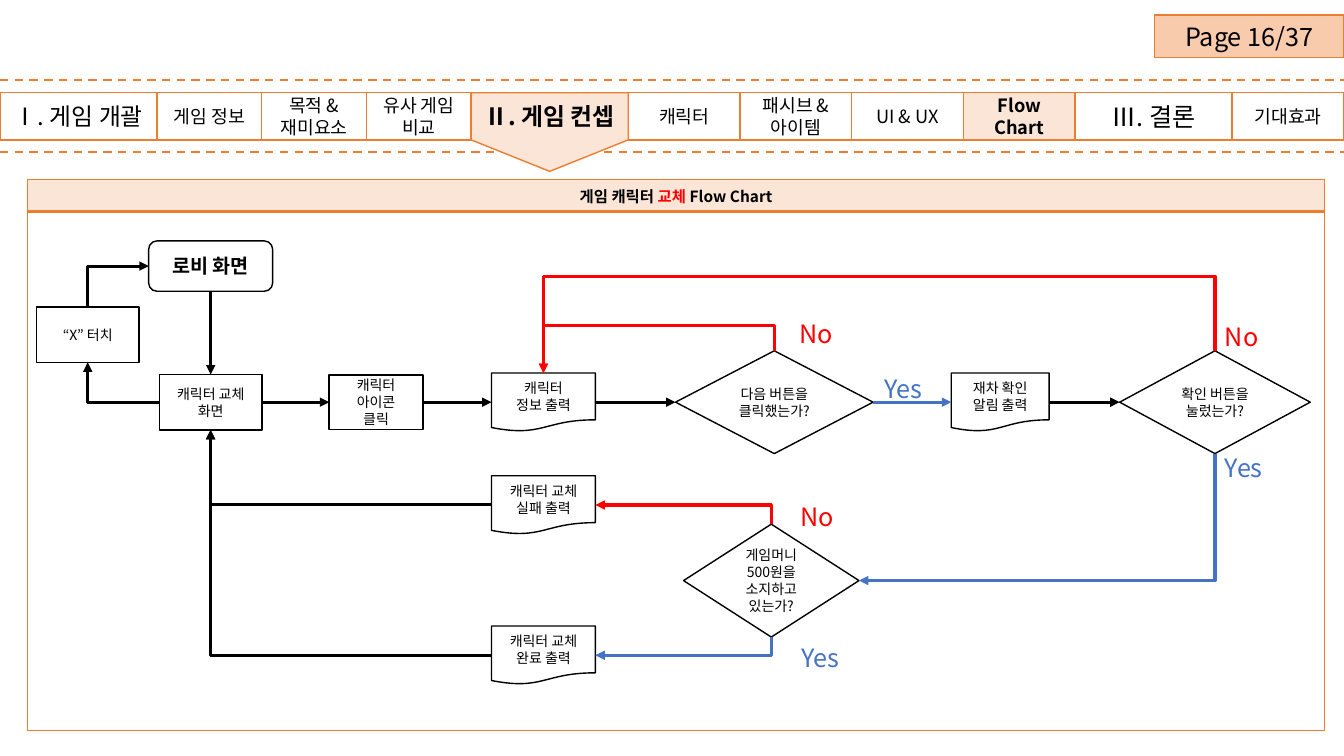
from dataclasses import dataclass

from lxml import etree
from pptx import Presentation
from pptx.dml.color import RGBColor
from pptx.enum.dml import MSO_LINE
from pptx.enum.shapes import MSO_CONNECTOR, MSO_SHAPE
from pptx.enum.text import MSO_ANCHOR, PP_ALIGN
from pptx.oxml.ns import qn
from pptx.util import Inches, Pt

RECT, ROUND = MSO_SHAPE.RECTANGLE, MSO_SHAPE.ROUNDED_RECTANGLE
DECISION, DOCUMENT = MSO_SHAPE.FLOWCHART_DECISION, MSO_SHAPE.FLOWCHART_DOCUMENT
PENTAGON = MSO_SHAPE.PENTAGON
STRAIGHT, ELBOW = MSO_CONNECTOR.STRAIGHT, MSO_CONNECTOR.ELBOW
DASH = MSO_LINE.DASH
LEFT_ALIGN, CENTER = PP_ALIGN.LEFT, PP_ALIGN.CENTER
TOP, LEFT, BOTTOM, RIGHT = range(4)


@dataclass(frozen=True)
class Theme:
    font: str = "Noto Sans CJK KR"
    black: str = "000000"
    white: str = "FFFFFF"
    orange: str = "ED7D31"
    peach: str = "FBE5D6"
    deep_peach: str = "F8CBAD"
    red: str = "FF0000"
    blue: str = "4472C4"
    node_size: int = 10
    header_size: int = 11
    topic_size: int = 13
    start_size: int = 14
    section_size: int = 17
    large_size: int = 18
    thin: float = 1
    dash: float = 1.5
    arrow: float = 2.25


THEME = Theme()
SLIDE_WIDTH, SLIDE_HEIGHT = 13.33, 7.5

PAGE = "Page 16/37"
HEADER = [("게임 캐릭터 ", THEME.black), ("교체 ", THEME.red), ("Flow Chart", THEME.black)]
SECTION, TOPIC, WIDE_TOPIC = 1.56, 1.04, 1.11
NAVIGATION = [
    ("Ⅰ. 게임 개괄", SECTION, THEME.section_size),
    ("게임 정보", TOPIC, THEME.topic_size),
    ("목적 &\n재미요소", TOPIC, THEME.topic_size),
    ("유사 게임\n비교", TOPIC, THEME.topic_size),
    ("Ⅱ. 게임 컨셉", SECTION, THEME.section_size),
    ("캐릭터", WIDE_TOPIC, THEME.topic_size),
    ("패시브 &\n아이템", WIDE_TOPIC, THEME.topic_size),
    ("UI & UX", WIDE_TOPIC, THEME.topic_size),
    ("Flow Chart", WIDE_TOPIC, THEME.topic_size),
    ("Ⅲ. 결론", SECTION, THEME.large_size),
    ("기대효과", WIDE_TOPIC, THEME.topic_size),
]
CURRENT_SECTION, CURRENT_TOPIC = "Ⅱ. 게임 컨셉", "Flow Chart"
NAV_TOP, NAV_HEIGHT, POINTER_HEIGHT = 0.92, 0.47, 0.78
DASHED_ROWS = (0.79, 1.51)
PANEL = (0.27, 1.78, 12.87)
PANEL_ROWS = (0.32, 5.15)

COLUMNS = {"exit": 0.87, "screen": 2.09, "icon": 3.73, "document": 5.39, "money": 7.65,
           "next": 7.68, "confirm": 9.92, "press": 12.05}
ROWS = {"lobby": 2.64, "exit": 3.32, "main": 3.99, "fail": 5.01, "money": 5.76, "done": 6.5}
NODES = {
    "lobby": ("로비 화면", ROUND, "screen", "lobby", 1.23, 0.5),
    "exit": ("“X” 터치", RECT, "exit", "exit", 1.02, 0.55),
    "screen": ("캐릭터 교체\n화면", RECT, "screen", "main", 1.02, 0.55),
    "icon": ("캐릭터\n아이콘\n클릭", RECT, "icon", "main", 0.93, 0.54),
    "info": ("캐릭터\n정보 출력", DOCUMENT, "document", "main", 1.03, 0.58),
    "next": ("다음 버튼을\n클릭했는가?", DECISION, "next", "main", 1.96, 1.02),
    "confirm": ("재차 확인\n알림 출력", DOCUMENT, "confirm", "main", 0.97, 0.58),
    "press": ("확인 버튼을\n눌렀는가?", DECISION, "press", "main", 1.89, 1.02),
    "fail": ("캐릭터 교체\n실패 출력", DOCUMENT, "document", "fail", 1.03, 0.58),
    "money": ("게임머니\n500원을\n소지하고\n있는가?", DECISION, "money", "money", 1.74, 1.12),
    "done": ("캐릭터 교체\n완료 출력", DOCUMENT, "document", "done", 1.03, 0.58),
}
LINKS = [
    ("lobby", BOTTOM, "screen", TOP, THEME.black, None),
    ("screen", RIGHT, "icon", LEFT, THEME.black, None),
    ("icon", RIGHT, "info", LEFT, THEME.black, None),
    ("info", RIGHT, "next", LEFT, THEME.black, None),
    ("next", RIGHT, "confirm", LEFT, THEME.blue, None),
    ("confirm", RIGHT, "press", LEFT, THEME.black, None),
    ("screen", LEFT, "exit", BOTTOM, THEME.black, None),
    ("exit", TOP, "lobby", LEFT, THEME.black, None),
    ("press", TOP, "info", TOP, THEME.red, 2.74),
    ("next", TOP, "info", TOP, THEME.red, 3.23),
    ("press", BOTTOM, "money", RIGHT, THEME.blue, None),
    ("money", TOP, "fail", RIGHT, THEME.red, None),
    ("money", BOTTOM, "done", RIGHT, THEME.blue, None),
    ("fail", LEFT, "screen", BOTTOM, THEME.black, None),
    ("done", LEFT, "screen", BOTTOM, THEME.black, None),
]
ANSWERS = [
    ("No", 7.83, 3.11, THEME.red), ("No", 12.05, 3.14, THEME.red), ("No", 7.84, 4.92, THEME.red),
    ("Yes", 8.67, 3.65, THEME.blue), ("Yes", 12.05, 4.44, THEME.blue), ("Yes", 7.85, 6.32, THEME.blue),
]


def style_run(run, size, color, bold=False):
    for name, value in {"size": Pt(size), "bold": bold, "name": THEME.font}.items():
        setattr(run.font, name, value)
    run.font.color.rgb = RGBColor.from_string(color)
    etree.SubElement(run.font._element, qn("a:ea"), typeface=THEME.font)


def write(shape, text, size, color=THEME.black, bold=False, align=CENTER, inset=(0.05, 0)):
    frame = shape.text_frame
    frame.text = text
    side, end = map(Inches, inset)
    formats = {"word_wrap": True, "vertical_anchor": MSO_ANCHOR.MIDDLE, "margin_left": side,
               "margin_right": side, "margin_top": end, "margin_bottom": end}
    for name, value in formats.items():
        setattr(frame, name, value)
    for paragraph in frame.paragraphs:
        paragraph.alignment = align
        for run in paragraph.runs:
            style_run(run, size, color, bold)


def add_box(slide, kind, box, fill, line):
    shape = slide.shapes.add_shape(kind, *map(Inches, box))
    shape.shadow.inherit = False
    shape.fill.solid()
    shape.fill.fore_color.rgb = RGBColor.from_string(fill)
    shape.line.color.rgb = RGBColor.from_string(line)
    shape.line.width = Pt(THEME.thin)
    return shape


def add_line(slide, kind, start, end, color, width):
    connector = slide.shapes.add_connector(kind, *map(Inches, (*start, *end)))
    connector.line.color.rgb = RGBColor.from_string(color)
    connector.line.width = Pt(width)
    etree.SubElement(connector._element.spPr, qn("a:effectLst"))
    return connector


def add_panel(slide):
    table = slide.shapes.add_table(2, 1, *map(Inches, (*PANEL, sum(PANEL_ROWS)))).table
    for index, height in enumerate(PANEL_ROWS):
        table.rows[index].height = Inches(height)
        cell = table.cell(index, 0)
        cell.fill.solid()
        cell.fill.fore_color.rgb = RGBColor.from_string((THEME.peach, THEME.white)[index])
        properties = cell._tc.get_or_add_tcPr()
        for position, side in enumerate("LRTB"):
            divider = (index, side) in ((0, "B"), (1, "T"))
            border = etree.Element(qn(f"a:ln{side}"), w=str(Pt(2 if divider else THEME.thin)))
            fill = etree.SubElement(border, qn("a:solidFill"))
            etree.SubElement(fill, qn("a:srgbClr"), val=THEME.orange)
            properties.insert(position, border)
    header = table.cell(0, 0)
    header.vertical_anchor = MSO_ANCHOR.MIDDLE
    header.margin_top = header.margin_bottom = Inches(0.03)
    paragraph = header.text_frame.paragraphs[0]
    paragraph.alignment = CENTER
    for text, color in HEADER:
        run = paragraph.add_run()
        run.text = text
        style_run(run, THEME.header_size, color, True)


def add_navigation(slide):
    scale = SLIDE_WIDTH / sum(width for _, width, _ in NAVIGATION)
    left = 0
    for text, share, size in NAVIGATION:
        width = share * scale
        box = (left, NAV_TOP, width, NAV_HEIGHT)
        if text == CURRENT_SECTION:
            turned = (left + (width - POINTER_HEIGHT) / 2, NAV_TOP + (POINTER_HEIGHT - width) / 2,
                      POINTER_HEIGHT, width)
            pointer = add_box(slide, PENTAGON, turned, THEME.peach, THEME.orange)
            pointer.rotation = 90
            pointer.adjustments[0] = 0.4
            shape = slide.shapes.add_textbox(*map(Inches, box))
        else:
            fill = THEME.peach if text == CURRENT_TOPIC else THEME.white
            shape = add_box(slide, RECT, box, fill, THEME.orange)
        inset = 0 if share == SECTION else 0.14
        write(shape, text, size, bold=text in (CURRENT_SECTION, CURRENT_TOPIC), inset=(inset, 0))
        left += width


def side_point(name, side):
    _, _, column, row, width, height = NODES[name]
    across, down = ((0, -1), (-1, 0), (0, 1), (1, 0))[side]
    return COLUMNS[column] + across * width / 2, ROWS[row] + down * height / 2


def bend(connector, start, end, vertical, loop):
    dx, dy = end[0] - start[0], end[1] - start[1]
    geometry = connector._element.spPr.find(qn("a:prstGeom"))
    geometry.set("prst", "bentConnector2" if loop is None else "bentConnector3")
    if loop is not None:
        share = round((loop - start[1]) / dy * 100000)
        guides = geometry.find(qn("a:avLst"))
        etree.SubElement(guides, qn("a:gd"), name="adj1", fmla=f"val {share}")
    if vertical:
        width, height = abs(dy), abs(dx)
        frame = {"left": (start[0] + end[0] - width) / 2, "top": (start[1] + end[1] - height) / 2,
                 "width": width, "height": height}
        for name, value in frame.items():
            setattr(connector, name, Inches(value))
        transform = connector._element.spPr.find(qn("a:xfrm"))
        turn = {"rot": 5400000 if dy > 0 else 16200000, "flipH": 0, "flipV": int(dx * dy > 0)}
        for name, value in turn.items():
            transform.set(name, str(value))


def add_flow(slide):
    shapes = {}
    for name, (text, kind, column, row, width, height) in NODES.items():
        box = (COLUMNS[column] - width / 2, ROWS[row] - height / 2, width, height)
        shapes[name] = add_box(slide, kind, box, THEME.white, THEME.black)
        first = name == "lobby"
        write(shapes[name], text, THEME.start_size if first else THEME.node_size, bold=first)
    for source, source_side, target, target_side, color, loop in LINKS:
        start, end = side_point(source, source_side), side_point(target, target_side)
        straight = abs(source_side - target_side) == 2
        connector = add_line(slide, STRAIGHT if straight else ELBOW, start, end, color, THEME.arrow)
        etree.SubElement(connector.line._get_or_add_ln(), qn("a:tailEnd"), type="triangle")
        if straight:
            connector.begin_connect(shapes[source], source_side)
            connector.end_connect(shapes[target], target_side)
        else:
            bend(connector, start, end, source_side in (TOP, BOTTOM), loop)
    for text, left, top, color in ANSWERS:
        label = slide.shapes.add_textbox(*map(Inches, (left, top, 0.7, 0.4)))
        write(label, text, THEME.large_size, color, align=LEFT_ALIGN, inset=(0.1, 0.05))


def main():
    presentation = Presentation()
    presentation.slide_width, presentation.slide_height = Inches(SLIDE_WIDTH), Inches(SLIDE_HEIGHT)
    slide = presentation.slides.add_slide(presentation.slide_layouts[6])
    add_panel(slide)
    for row in DASHED_ROWS:
        line = add_line(slide, STRAIGHT, (0, row), (SLIDE_WIDTH, row), THEME.orange, THEME.dash)
        line.line.dash_style = DASH
    page = add_box(slide, RECT, (11.45, 0.15, 1.88, 0.42), THEME.deep_peach, THEME.orange)
    write(page, PAGE, THEME.large_size)
    add_navigation(slide)
    add_flow(slide)
    presentation.save("out.pptx")


if __name__ == "__main__":
    main()
